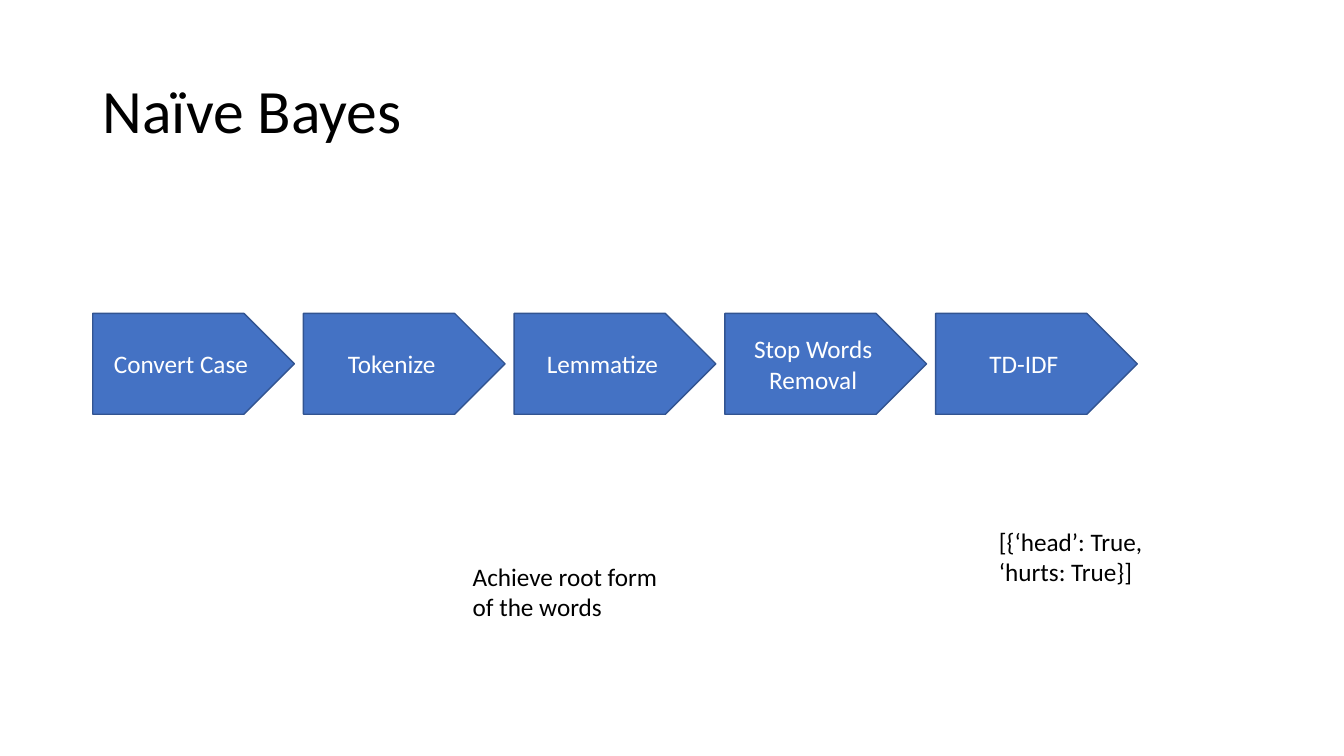
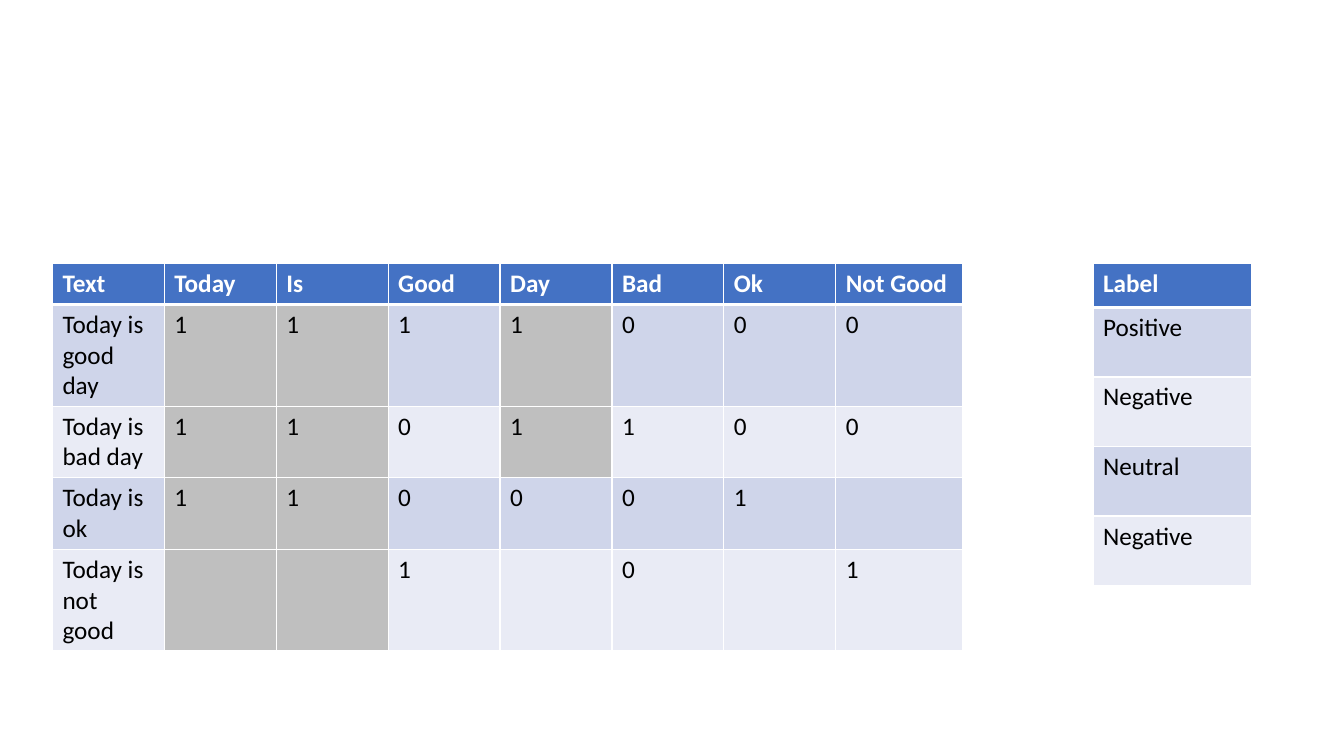
import pptx
import pptx.dml.color
import pptx.enum.shapes
import pptx.enum.text
import pptx.oxml
import pptx.oxml.ns
import pptx.util

Inches = pptx.util.Inches
Pt = pptx.util.Pt
RGBColor = pptx.dml.color.RGBColor
Anchor = pptx.enum.text.MSO_ANCHOR
Align = pptx.enum.text.PP_ALIGN

BLUE = RGBColor(0x44, 0x72, 0xC4)
DARK_BLUE = RGBColor(0x32, 0x54, 0x91)
BAND_DARK = RGBColor(0xCF, 0xD5, 0xEA)
BAND_LIGHT = RGBColor(0xE9, 0xEB, 0xF5)
GREY = RGBColor(0xBF, 0xBF, 0xBF)
BLACK = RGBColor(0, 0, 0)
WHITE = RGBColor(0xFF, 0xFF, 0xFF)
FONT = "Calibri"
BODY_SIZE = 18
TITLE_SIZE = 44

STEPS = ["Convert Case", "Tokenize", "Lemmatize", "Stop Words Removal", "TD-IDF"]
WORD_COUNTS = [
    ["Text", "Today", "Is", "Good", "Day", "Bad", "Ok", "Not Good"],
    ["Today is good day", "1", "1", "1", "1", "0", "0", "0"],
    ["Today is bad day", "1", "1", "0", "1", "1", "0", "0"],
    ["Today is ok", "1", "1", "0", "0", "0", "1", ""],
    ["Today is not good", "", "", "1", "", "0", "", "1"],
]
COMMON_WORDS = {(row, column) for row in range(1, 5) for column in (1, 2)} | {(1, 4), (2, 4)}
LABELS = [["Label"], ["Positive"], ["Negative"], ["Neutral"], ["Negative"]]


def write(frame, text, color=BLACK, size=BODY_SIZE, bold=False, align=Align.LEFT):
    frame.word_wrap = True
    para = frame.paragraphs[0]
    para.text = text
    para.alignment = align
    para.font.name = FONT
    para.font.size = Pt(size)
    para.font.bold = bold
    para.font.color.rgb = color
    return para


def add_text(page, left, top, width, height, text, size=BODY_SIZE):
    box = page.shapes.add_textbox(Inches(left), Inches(top), Inches(width), Inches(height))
    write(box.text_frame, text, size=size)
    return box.text_frame


def add_title(page, text):
    frame = add_text(page, 0.92, 0.4, 11.5, 1.45, text, TITLE_SIZE)
    frame.vertical_anchor = Anchor.MIDDLE
    frame.paragraphs[0].line_spacing = 0.9


def add_steps(page, left, top, width, height, pitch, steps):
    for index, step in enumerate(steps):
        arrow = page.shapes.add_shape(
            pptx.enum.shapes.MSO_SHAPE.PENTAGON,
            Inches(left + index * pitch), Inches(top), Inches(width), Inches(height))
        arrow.shadow.inherit = False
        arrow.fill.solid()
        arrow.fill.fore_color.rgb = BLUE
        arrow.line.color.rgb = DARK_BLUE
        arrow.line.width = Pt(1)
        arrow.text_frame.vertical_anchor = Anchor.MIDDLE
        write(arrow.text_frame, step, WHITE, align=Align.CENTER)


def add_borders(cell, top_width, bottom_width):
    widths = {"lnL": 1, "lnR": 1, "lnT": top_width, "lnB": bottom_width}
    for position, (side, width) in enumerate(widths.items()):
        border = pptx.oxml.parse_xml(
            f'<a:{side} {pptx.oxml.ns.nsdecls("a")} w="{Pt(width)}">'
            f'<a:solidFill><a:srgbClr val="{WHITE}"/></a:solidFill></a:{side}>')
        cell._tc.get_or_add_tcPr().insert(position, border)


def add_banded_table(page, left, top, widths, heights, rows, shaded=()):
    table = page.shapes.add_table(
        len(rows), len(widths), Inches(left), Inches(top),
        Inches(sum(widths)), Inches(sum(heights))).table
    for column, width in zip(table.columns, widths):
        column.width = Inches(width)
    for row_index, (texts, height) in enumerate(zip(rows, heights)):
        table.rows[row_index].height = Inches(height)
        header = row_index == 0
        band = BLUE if header else BAND_DARK if row_index % 2 else BAND_LIGHT
        for column_index, text in enumerate(texts):
            cell = table.cell(row_index, column_index)
            cell.fill.solid()
            cell.fill.fore_color.rgb = GREY if (row_index, column_index) in shaded else band
            add_borders(cell, 3 if row_index == 1 else 1, 3 if header else 1)
            write(cell.text_frame, text, WHITE if header else BLACK, bold=header)


def build_process(page):
    add_title(page, "Naïve Bayes")
    add_steps(page, 0.92, 3.11, 2, 1, 2.09, STEPS)
    add_text(page, 4.59, 5.52, 2.07, 0.71, "Achieve root form of the words")
    add_text(page, 9.81, 5.17, 2.07, 0.71, "[{‘head’: True, ‘hurts: True}]")


def build_word_counts(page):
    add_banded_table(page, 0.52, 2.61, [1.11] * 7 + [1.26],
                     [0.41, 1.01, 0.71, 0.71, 1.01], WORD_COUNTS, COMMON_WORDS)
    add_banded_table(page, 10.84, 2.61, [1.57], [0.44] + [0.69] * 4, LABELS)


deck = pptx.Presentation()
deck.slide_width = Inches(13.33)
deck.slide_height = Inches(7.5)
for build in (build_process, build_word_counts):
    build(deck.slides.add_slide(deck.slide_layouts[6]))
deck.save("out.pptx")
